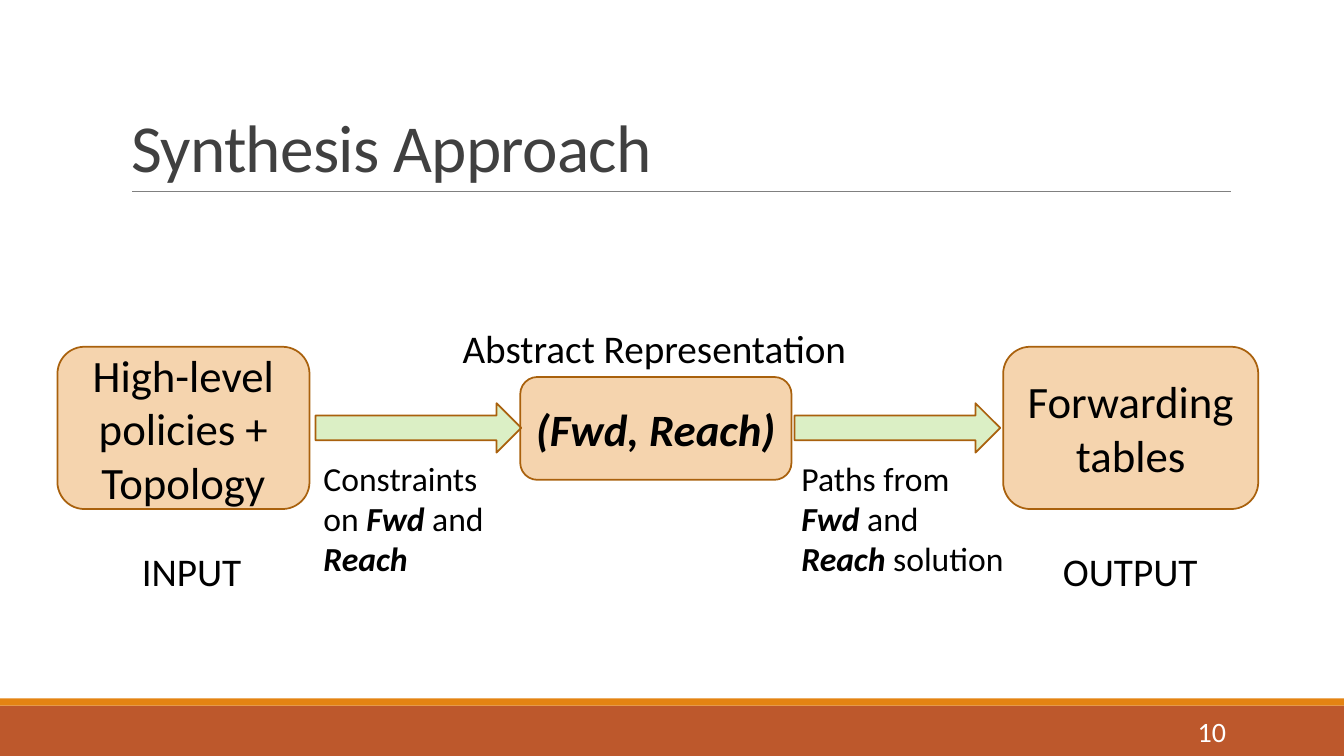
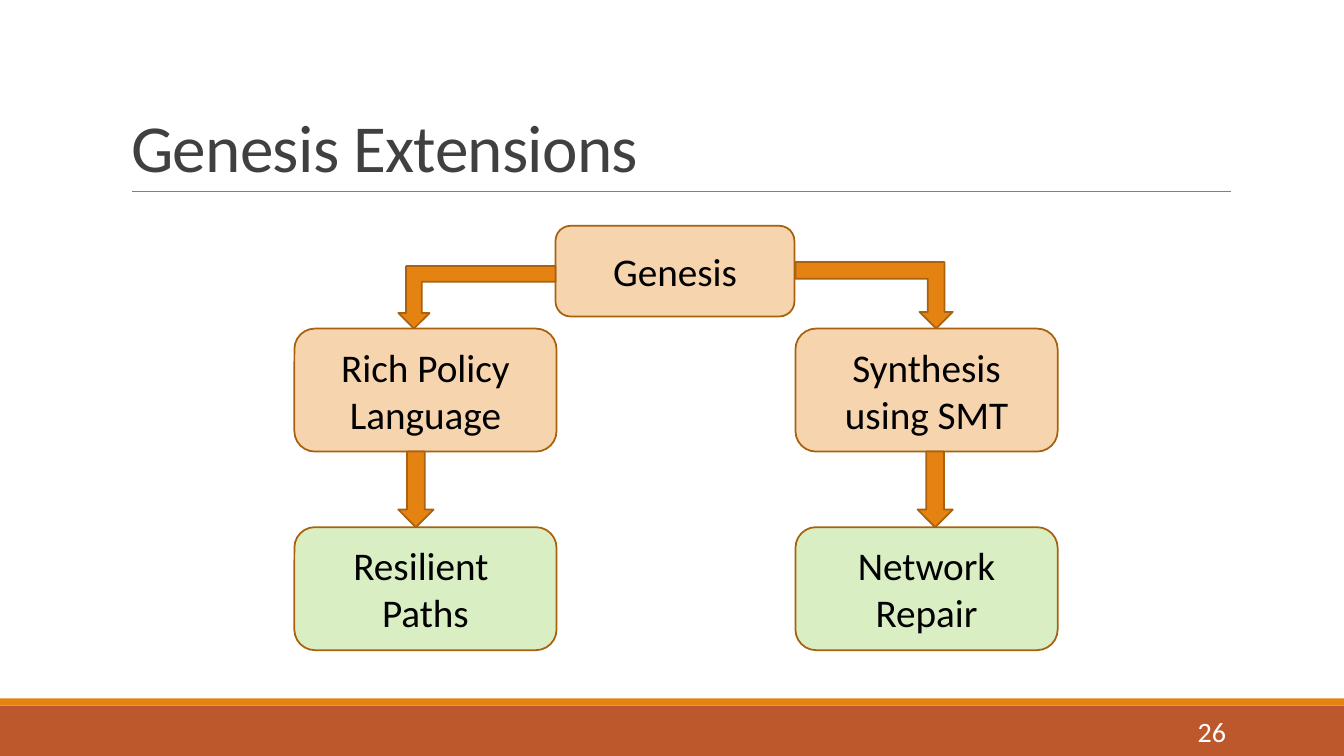
from lxml import etree
from pptx import Presentation
from pptx.dml.color import RGBColor
from pptx.enum.shapes import MSO_CONNECTOR, MSO_SHAPE as Preset
from pptx.enum.text import MSO_ANCHOR as Anchor, MSO_AUTO_SIZE, PP_ALIGN as Align
from pptx.oxml.ns import qn
from pptx.util import Inches, Pt

FONT = "Calibri"
BLACK = RGBColor(0x00, 0x00, 0x00)
WHITE = RGBColor(0xFF, 0xFF, 0xFF)
TITLE_GREY = RGBColor(0x40, 0x40, 0x40)
RULE_GREY = RGBColor(0x80, 0x80, 0x80)
RUST = RGBColor(0xBD, 0x58, 0x2C)
ORANGE = RGBColor(0xE4, 0x83, 0x12)
OUTLINE = RGBColor(0xA9, 0x61, 0x0D)
GREEN = RGBColor(0x92, 0xD0, 0x50)

BANDS = [((0, 7, 13.33, 0.5), RUST), ((0, 6.93, 13.33, 0.07), ORANGE)]

STAGES = [
    ((0.57, 3.44, 2.5, 1.61), ["High-level policies +", "Topology"]),
    ((9.95, 3.44, 2.53, 1.61), ["Forwarding tables"]),
    ((5.16, 3.74, 2.69, 1.02), ["*(Fwd, Reach)*"]),
]
STAGE_ARROW_LEFTS = [3.13, 7.88]
CAPTIONS = [
    ((0.73, 5.38, 2.34, 0.57), "INPUT", 28, Align.CENTER),
    ((10.04, 5.38, 2.34, 0.57), "OUTPUT", 28, Align.CENTER),
    ((3.11, 4.49, 2, 1.31), "Constraints on *Fwd* and *Reach*", 24, Align.LEFT),
    ((7.85, 4.49, 2.24, 1.31), "Paths from *Fwd *and *Reach *solution", 24, Align.LEFT),
    ((4.49, 3.17, 4.04, 0.57), "Abstract Representation", 28, Align.LEFT),
]

BRANCHES = [
    {"left": 2.92, "topic": ["Rich Policy", "Language"], "extension": ["Resilient ", "Paths"],
     "bend": (3.95, 2.64, 1.56, 0.62), "arrow_left": 3.95, "mirrored": False},
    {"left": 7.89, "topic": ["Synthesis using SMT"], "extension": ["Network Repair"],
     "bend": (7.89, 2.6, 1.56, 0.66), "arrow_left": 9.1, "mirrored": True},
]
BRANCH_WIDTH, BRANCH_HEIGHT = 2.6, 1.22
TOPIC_TOP, EXTENSION_TOP = 3.26, 5.23


def write(shape, lines, size, align=Align.CENTER, color=BLACK, anchor=Anchor.MIDDLE):
    frame = shape.text_frame
    frame.word_wrap = True
    frame.vertical_anchor = anchor
    for index, line in enumerate(lines):
        para = frame.add_paragraph() if index else frame.paragraphs[0]
        para.alignment = align
        para.font.name = FONT
        para.font.size = Pt(size)
        para.font.color.rgb = color
        for part, words in enumerate(line.split("*")):
            if words:
                span = para.add_run()
                span.text = words
                if part % 2:
                    span.font.bold = span.font.italic = True


def add_text(page, area, lines, size, **style):
    box = page.shapes.add_textbox(*map(Inches, area))
    write(box, lines, size, **style)


def add_shape(page, preset, area, fill, opacity=100, outline=OUTLINE):
    shape = page.shapes.add_shape(preset, *map(Inches, area))
    shape.shadow.inherit = False
    shape.fill.solid()
    shape.fill.fore_color.rgb = fill
    if opacity < 100:
        color = shape._element.spPr.find(qn("a:solidFill"))[0]
        etree.SubElement(color, qn("a:alpha")).set("val", str(opacity * 1000))
    if outline is None:
        shape.line.fill.background()
    else:
        shape.line.color.rgb = outline
        shape.line.width = Pt(1.25)
    return shape


def add_node(page, area, lines, size, fill=ORANGE):
    write(add_shape(page, Preset.ROUNDED_RECTANGLE, area, fill, 34), lines, size)


def add_page(deck, title, number):
    page = deck.slides.add_slide(deck.slide_layouts[5])
    for area, color in BANDS:
        add_shape(page, Preset.RECTANGLE, area, color, outline=None)
    rule = page.shapes.add_connector(
        MSO_CONNECTOR.STRAIGHT, Inches(1.31), Inches(1.9), Inches(12.21), Inches(1.9))
    rule.line.color.rgb = RULE_GREY
    rule.line.width = Pt(0.5)
    etree.SubElement(rule._element.spPr, qn("a:effectLst"))

    heading = page.shapes.title
    heading.left, heading.top, heading.width, heading.height = map(Inches, (1.2, 0.31, 11, 1.59))
    write(heading, [title], 48, Align.LEFT, TITLE_GREY, Anchor.BOTTOM)
    heading.text_frame.auto_size = MSO_AUTO_SIZE.NONE
    para = heading.text_frame.paragraphs[0]
    para.line_spacing = 0.85
    para.runs[0]._r.get_or_add_rPr().set("spc", "-50")
    add_text(page, (10.83, 7.06, 1.43, 0.4), [number], 20, align=Align.RIGHT, color=WHITE)
    return page


def build_approach(deck):
    page = add_page(deck, "Synthesis Approach", "10")
    for area, lines in STAGES:
        add_node(page, area, lines, 32)
    for left in STAGE_ARROW_LEFTS:
        add_shape(page, Preset.RIGHT_ARROW, (left, 4, 2.04, 0.49), GREEN, 33)
    for area, caption, size, align in CAPTIONS:
        add_text(page, area, [caption], size, align=align, anchor=Anchor.TOP)


def build_extensions(deck):
    page = add_page(deck, "Genesis Extensions", "26")
    add_node(page, (5.51, 2.24, 2.37, 0.9), ["Genesis"], 28)
    topic_bottom = TOPIC_TOP + BRANCH_HEIGHT
    for branch in BRANCHES:
        left = branch["left"]
        add_node(page, (left, TOPIC_TOP, BRANCH_WIDTH, BRANCH_HEIGHT), branch["topic"], 28)
        add_node(page, (left, EXTENSION_TOP, BRANCH_WIDTH, BRANCH_HEIGHT),
                 branch["extension"], 28, GREEN)
        bend = add_shape(page, Preset.BENT_UP_ARROW, branch["bend"], ORANGE)
        bend.rotation = 180
        if branch["mirrored"]:
            bend._element.spPr.find(qn("a:xfrm")).set("flipH", "1")
        add_shape(page, Preset.DOWN_ARROW,
                  (branch["arrow_left"], topic_bottom, 0.35, EXTENSION_TOP - topic_bottom), ORANGE)


def main():
    deck = Presentation()
    deck.slide_width, deck.slide_height = Inches(13.33), Inches(7.5)
    build_approach(deck)
    build_extensions(deck)
    deck.save("out.pptx")


if __name__ == "__main__":
    main()
